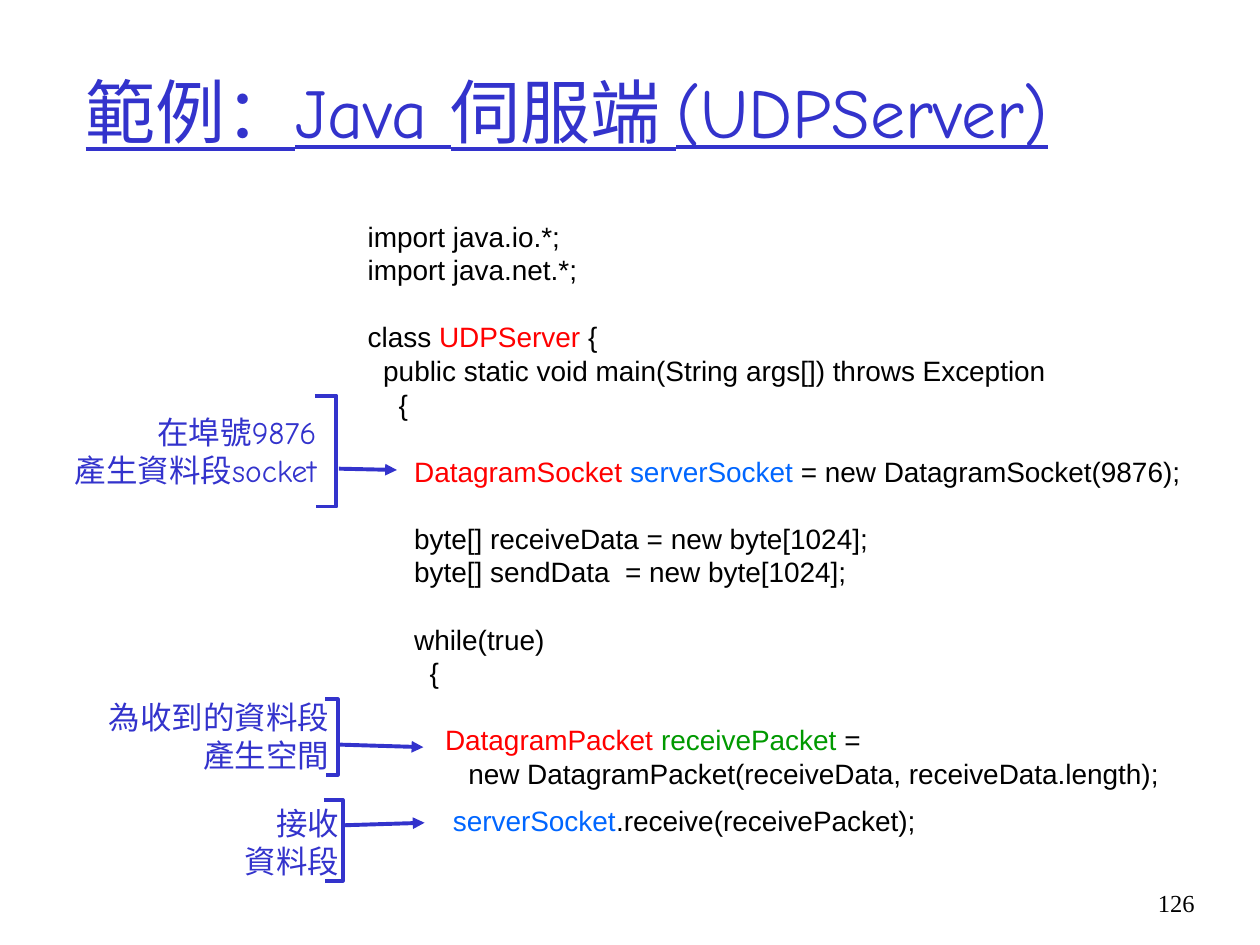
from lxml import etree
from pptx import Presentation
from pptx.dml.color import RGBColor
from pptx.enum.shapes import MSO_CONNECTOR
from pptx.enum.text import MSO_ANCHOR, MSO_AUTO_SIZE, PP_ALIGN
from pptx.oxml.ns import qn
from pptx.util import Inches, Pt

INDIGO = RGBColor(0x33, 0x33, 0xCC)
BLACK = RGBColor(0, 0, 0)
RED = RGBColor(0xFF, 0, 0)
BLUE = RGBColor(0, 0x66, 0xFF)
GREEN = RGBColor(0, 0x99, 0)

TITLE = "範例：Java 伺服端 (UDPServer)"
LINE = 19.2
CODE = [
    (0, [("import java.io.*;", BLACK)]),
    (0, [("import java.net.*;", BLACK)]),
    (LINE, [("class ", BLACK), ("UDPServer ", RED), ("{", BLACK)]),
    (0, [("  public static void main(String args[]) throws Exception", BLACK)]),
    (0, [("    {", BLACK)]),
    (LINE, [("      DatagramSocket ", RED), ("serverSocket", BLUE),
            (" = new DatagramSocket(9876);", BLACK)]),
    (LINE, [("      byte[] receiveData = new byte[1024];", BLACK)]),
    (0, [("      byte[] sendData  = new byte[1024];", BLACK)]),
    (LINE, [("      while(true)", BLACK)]),
    (0, [("        {", BLACK)]),
    (LINE, [("          DatagramPacket ", RED), ("receivePacket ", GREEN), ("=", BLACK)]),
    (0, [("             new DatagramPacket(receiveData, receiveData.length);", BLACK)]),
    (8, [("           serverSocket", BLUE), (".receive(receivePacket);", BLACK)]),
]
NOTES = [
    dict(lines=["在埠號9876", "產生資料段socket"], box=(0.43, 3.23, 2.18, 0.7),
         bracket=[(2.5, 3.14), (2.67, 3.14), (2.67, 4.02), (2.51, 4.02)],
         arrow=(2.69, 3.72, 3.15, 3.73)),
    dict(lines=["為收到的資料段", "產生空間"], box=(0.76, 5.49, 1.95, 0.7),
         bracket=[(2.58, 5.55), (2.68, 5.55), (2.68, 6.15), (2.59, 6.15)],
         arrow=(2.7, 5.91, 3.36, 5.93)),
    dict(lines=["接收", "資料段"], box=(1.45, 6.33, 1.34, 0.7),
         bracket=[(2.57, 6.35), (2.72, 6.35), (2.72, 6.99), (2.58, 6.99)],
         arrow=(2.72, 6.55, 3.37, 6.53)),
]


def add_run(p, text, size, font, color):
    r = p.add_run()
    r.text = text
    r.font.size, r.font.name = Pt(size), font
    r.font.color.rgb = color
    return r


def add_text(slide, box, lines, size, font, align, anchor=MSO_ANCHOR.TOP):
    tf = slide.shapes.add_textbox(*map(Inches, box)).text_frame
    tf.word_wrap = False
    tf.vertical_anchor = anchor
    for i, (gap, runs) in enumerate(lines):
        p = tf.add_paragraph() if i else tf.paragraphs[0]
        p.alignment = align
        p.line_spacing = Pt(size * 1.2)
        if gap:
            p.space_before = Pt(gap)
        for text, color in runs:
            add_run(p, text, size, font, color)


def add_bracket(slide, points):
    start, *rest = [(Inches(x), Inches(y)) for x, y in points]
    fb = slide.shapes.build_freeform(*start)
    fb.add_line_segments(rest, close=False)
    sp = fb.convert_to_shape()
    sp.shadow.inherit = False
    sp.fill.background()
    sp.line.color.rgb, sp.line.width = INDIGO, Pt(2.25)


def add_arrow(slide, ends):
    cn = slide.shapes.add_connector(MSO_CONNECTOR.STRAIGHT, *map(Inches, ends))
    cn.line.color.rgb, cn.line.width = INDIGO, Pt(2.25)
    etree.SubElement(cn.line._get_or_add_ln(), qn("a:tailEnd"), type="triangle")
    etree.SubElement(cn._element.spPr, qn("a:effectLst"))


def main():
    prs = Presentation()
    prs.slide_width, prs.slide_height = Inches(10), Inches(7.5)
    slide = prs.slides.add_slide(prs.slide_layouts[5])

    title = slide.shapes.title
    title.left, title.top = Inches(0.58), Inches(0.25)
    title.width, title.height = Inches(8.5), Inches(1.25)
    tf = title.text_frame
    tf.auto_size = MSO_AUTO_SIZE.NONE
    tf.vertical_anchor = MSO_ANCHOR.MIDDLE
    p = tf.paragraphs[0]
    p.alignment = PP_ALIGN.LEFT
    add_run(p, TITLE, 40, "Comic Neue", INDIGO).font.underline = True

    add_text(slide, (2.82, 1.69, 6.71, 5.03), CODE, 16, "Arial", PP_ALIGN.LEFT)
    for note in NOTES:
        lines = [(0, [(text, INDIGO)]) for text in note["lines"]]
        add_text(slide, note["box"], lines, 18, "Comic Neue", PP_ALIGN.RIGHT, MSO_ANCHOR.MIDDLE)
        add_bracket(slide, note["bracket"])
        add_arrow(slide, note["arrow"])
    add_text(slide, (9.08, 7, 0.5, 0.5), [(0, [("126", BLACK)])], 14,
             "Times New Roman", PP_ALIGN.RIGHT)
    prs.save("out.pptx")


if __name__ == "__main__":
    main()
